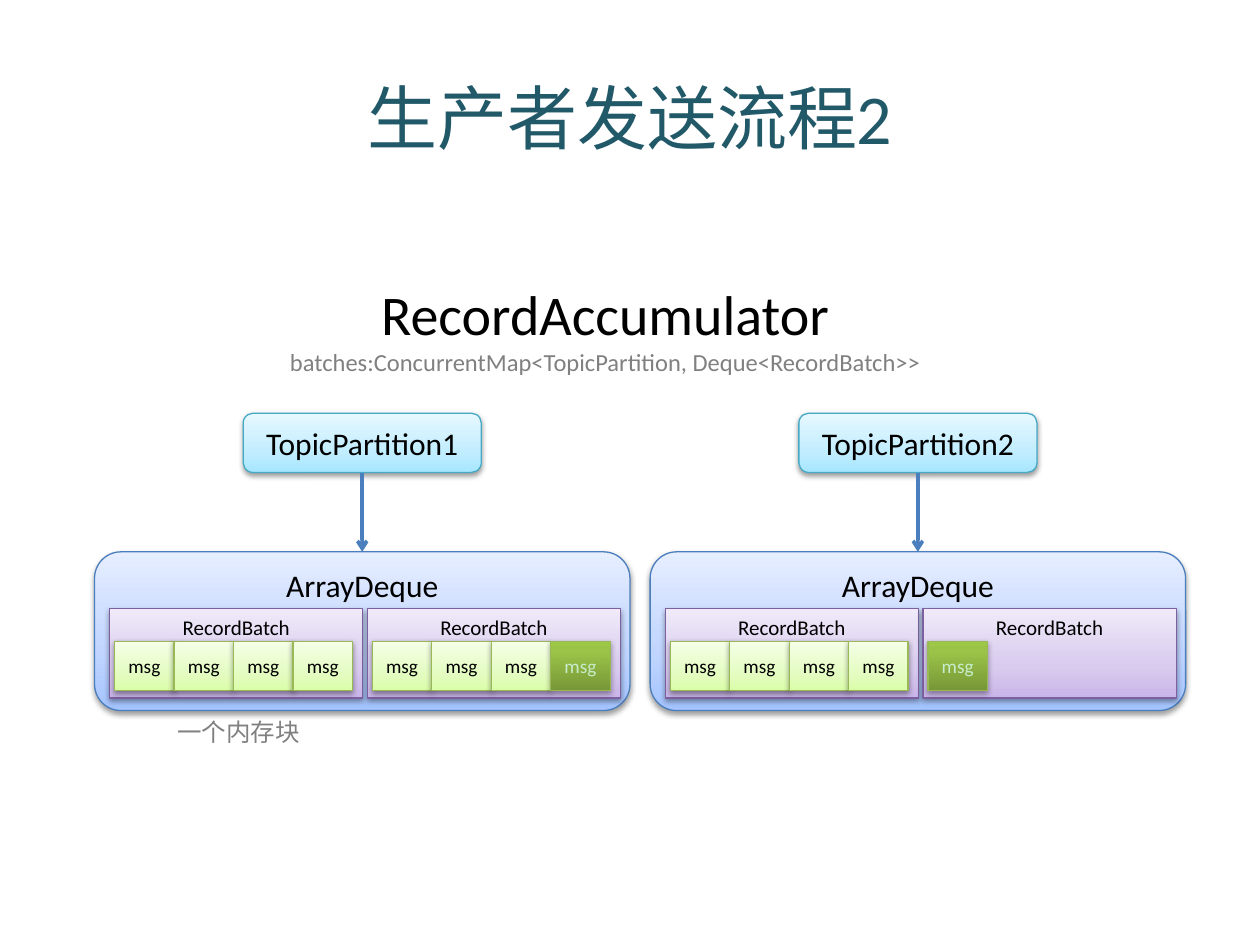
from dataclasses import dataclass

from lxml.etree import SubElement
from pptx import Presentation
from pptx.dml.color import RGBColor
from pptx.enum.shapes import MSO_CONNECTOR, MSO_SHAPE
from pptx.enum.text import MSO_ANCHOR, PP_ALIGN
from pptx.oxml.ns import qn
from pptx.util import Inches, Pt

# The slide is a grid of 100 columns by 75 rows
CELL = Inches(0.1)
COLUMNS, ROWS = 100, 75

FONT = "Calibri"
BLACK, GREY, TEAL, BLUE = "000000", "808080", "215968", "4B7EBC"


@dataclass
class Box:
    left: float
    top: float
    width: float
    height: float

    def inner(self, left, top, width, height):
        return Box(self.left + left, self.top + top, width, height)

    def lengths(self):
        return [round(n * CELL) for n in (self.left, self.top, self.width, self.height)]


@dataclass
class Style:
    preset: MSO_SHAPE
    stops: tuple  # (percent, colour), from bottom to top
    line: str
    size: int
    anchor: MSO_ANCHOR = MSO_ANCHOR.MIDDLE
    color: str = BLACK
    shadow_alpha: int = 38


PARTITION = Style(MSO_SHAPE.ROUNDED_RECTANGLE,
                  ((0, "A7E6FF"), (35, "C1EDFF"), (100, "E7F8FF")), "46AAC5", 18)
DEQUE = Style(MSO_SHAPE.ROUNDED_RECTANGLE,
              ((0, "A4C4FF"), (35, "BFD4FF"), (100, "E6EEFF")), BLUE, 18, MSO_ANCHOR.TOP)
BATCH = Style(MSO_SHAPE.RECTANGLE,
              ((0, "C9B5E8"), (35, "D8CBEE"), (100, "F0EAF9")), "7D60A0", 12, MSO_ANCHOR.TOP)
MESSAGE = Style(MSO_SHAPE.RECTANGLE,
                ((0, "DAFDA7"), (35, "E4FCC2"), (100, "F5FFE7")), "98B955", 11)
LAST_MESSAGE = Style(MSO_SHAPE.RECTANGLE,
                     ((0, "779737"), (80, "9BC348"), (100, "9DC746")), "98B955", 11,
                     color="C7EDCC", shadow_alpha=35)


def rgb(color):
    return RGBColor.from_string(color)


def write_line(para, text, size, color):
    para.text = text
    para.alignment = PP_ALIGN.CENTER
    para.font.name = FONT
    para.font.size = Pt(size)
    para.font.color.rgb = rgb(color)


def add_label(page, box, lines, anchor=MSO_ANCHOR.TOP):
    frame = page.shapes.add_textbox(*box.lengths()).text_frame
    frame.word_wrap = True
    frame.vertical_anchor = anchor
    for index, line in enumerate(lines):
        para = frame.add_paragraph() if index else frame.paragraphs[0]
        write_line(para, *line)


def add_color(parent, tag, color, **attributes):
    node = SubElement(parent, qn(tag), **attributes)
    return SubElement(node, qn("a:srgbClr"), val=color)


def add_block(shapes, box, text, style):
    block = shapes.add_shape(style.preset, *box.lengths())
    block.line.color.rgb = rgb(style.line)
    block.line.width = Pt(0.75)

    # Three-stop gradient rising from the bottom edge
    block.fill.gradient()
    block.fill.gradient_angle = 90
    properties = block._element.spPr
    stop_list = properties.find(".//" + qn("a:gsLst"))
    for stop in list(stop_list):
        stop_list.remove(stop)
    for percent, color in style.stops:
        add_color(stop_list, "a:gs", color, pos=str(percent * 1000))

    # Soft shadow falling downwards
    block.shadow.inherit = False
    shade = add_color(properties.find(qn("a:effectLst")), "a:outerShdw", BLACK,
                      blurRad="40000", dist="20000", dir="5400000", rotWithShape="0")
    SubElement(shade, qn("a:alpha"), val=str(style.shadow_alpha * 1000))

    frame = block.text_frame
    frame.word_wrap = True
    frame.margin_left = frame.margin_right = 0
    frame.vertical_anchor = style.anchor
    write_line(frame.paragraphs[0], text, style.size, style.color)
    return block


def add_arrow(page, start, end):
    arrow = page.shapes.add_connector(MSO_CONNECTOR.STRAIGHT, 0, 0, 0, 0)
    arrow.begin_connect(start, 2)
    arrow.end_connect(end, 0)
    arrow.line.color.rgb = rgb(BLUE)
    arrow.line.width = Pt(2)
    SubElement(arrow.line._get_or_add_ln(), qn("a:tailEnd"), type="arrow")
    SubElement(arrow._element.spPr, qn("a:effectLst"))


def add_batch(page, box, messages):
    group = page.shapes.add_group_shape()
    add_block(group.shapes, box, "RecordBatch", BATCH)
    for index, style in enumerate(messages):
        cell = box.inner(0.4 + index * 4.72, 2.6, 4.72, 3.9)
        add_block(group.shapes, cell, "msg", style)


def add_lane(page, box, name, batches):
    partition = add_block(page.shapes, box.inner((box.width - 18.9) / 2, 0, 18.9, 4.7),
                          name, PARTITION)
    deque = add_block(page.shapes, box.inner(0, 11, box.width, box.height - 11),
                      "ArrayDeque", DEQUE)
    for index, messages in enumerate(batches):
        add_batch(page, box.inner(1.2 + index * 20.45, 15.5, 20.1, 7.1), messages)
    add_arrow(page, partition, deque)


def add_heading(page, box):
    add_label(page, box.inner(5, 3, 90, 12.5), [("生产者发送流程2", 40, TEAL)],
              MSO_ANCHOR.MIDDLE)
    add_label(page, box.inner(14.6, 21.7, 66.9, 8.8), [
        ("RecordAccumulator", 32, BLACK),
        ("batches:ConcurrentMap<TopicPartition, Deque<RecordBatch>>", 14, GREY),
    ])


def main():
    deck = Presentation()
    deck.slide_width, deck.slide_height = COLUMNS * CELL, ROWS * CELL
    page = deck.slides.add_slide(deck.slide_layouts[6])
    whole = Box(0, 0, COLUMNS, ROWS)

    add_heading(page, whole)

    # One lane for each partition; only the newest message is dark
    full = [MESSAGE] * 4
    lanes = [
        ("TopicPartition1", [full, [MESSAGE] * 3 + [LAST_MESSAGE]]),
        ("TopicPartition2", [full, [LAST_MESSAGE]]),
    ]
    for index, (name, batches) in enumerate(lanes):
        add_lane(page, whole.inner(7.5 + index * 44.1, 32.8, 42.5, 23.6), name, batches)

    # Note under the first batch
    add_label(page, whole.inner(9.1, 56.4, 19.7, 3.4), [("一个内存块", 14, GREY)])

    deck.save("out.pptx")


if __name__ == "__main__":
    main()
